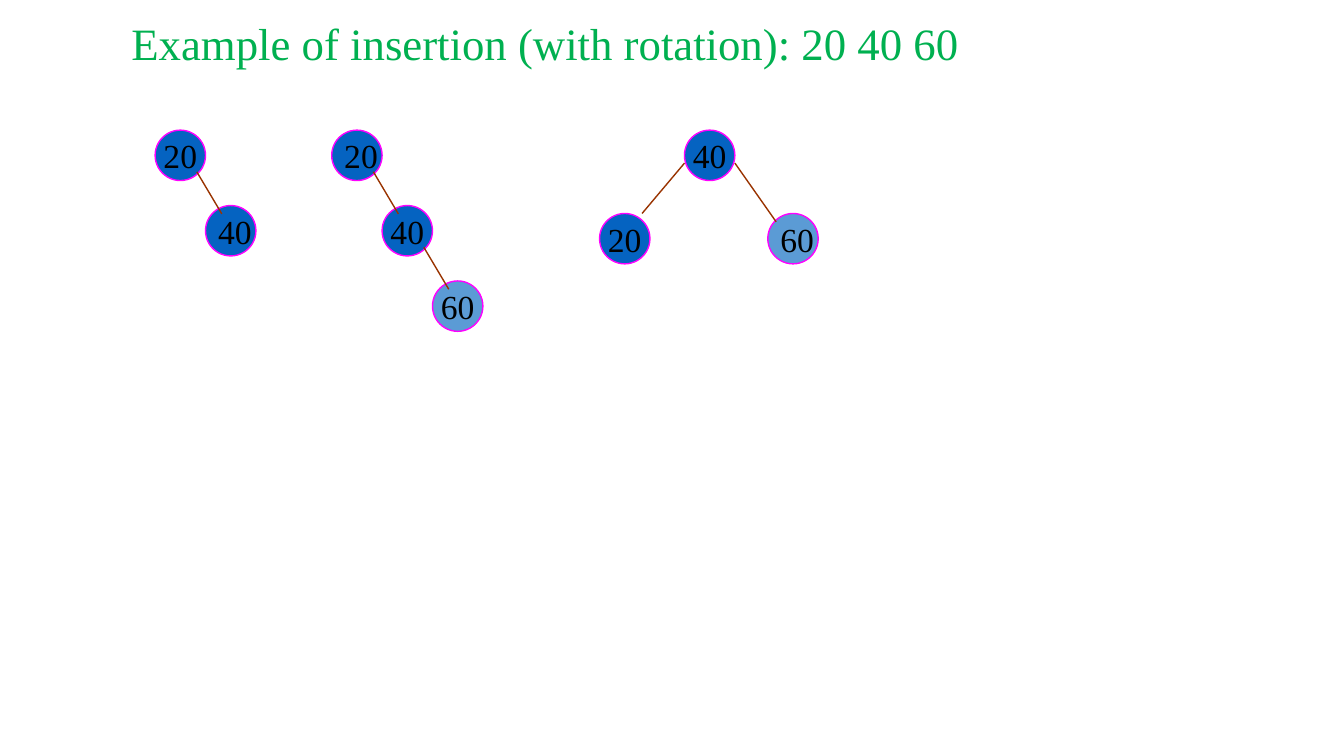
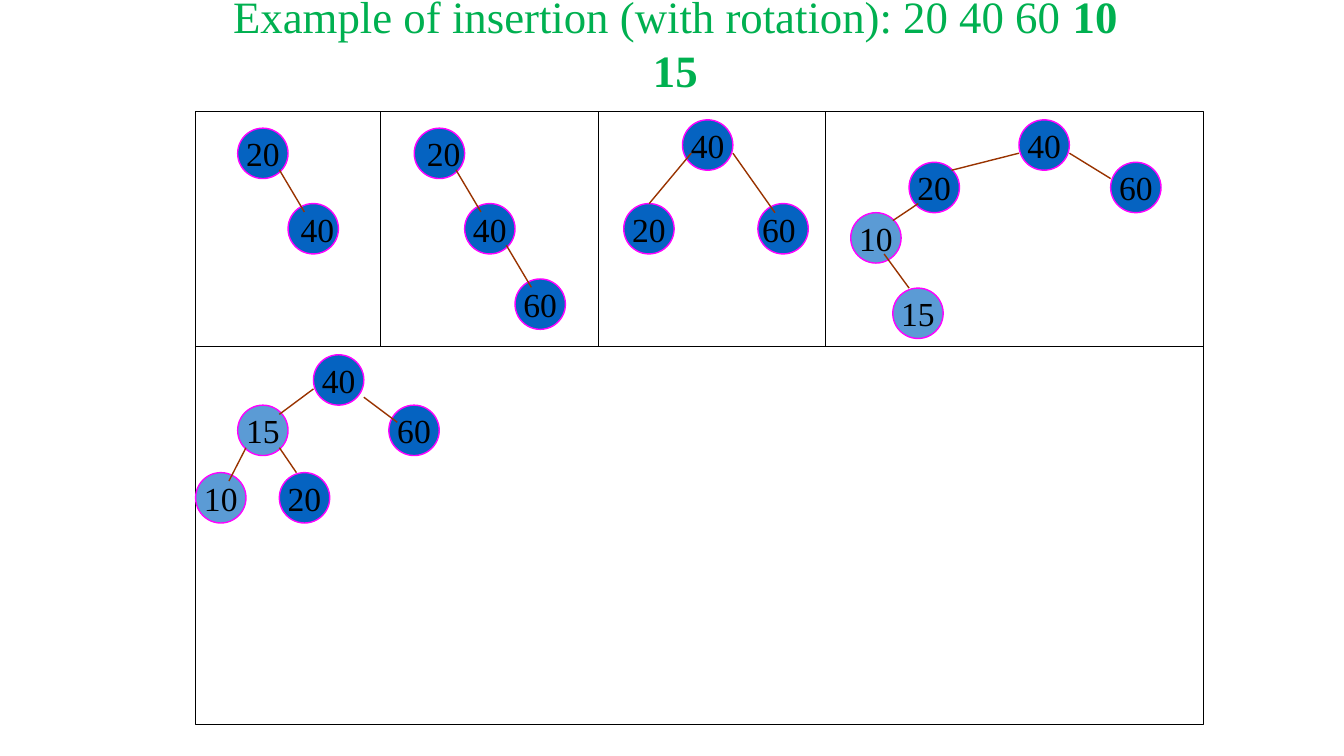
from pptx import Presentation
from pptx.dml.color import RGBColor
from pptx.enum.shapes import MSO_CONNECTOR as Connector, MSO_SHAPE as Shape
from pptx.enum.text import MSO_ANCHOR as Anchor, PP_ALIGN as Align
from pptx.oxml.ns import qn
from pptx.util import Cm, Pt
from lxml.etree import SubElement

FONT = "Times New Roman"
GREEN, BLACK, WHITE = "00B050", "000000", "FFFFFF"
BLUE, LIGHT_BLUE = "0563C1", "5B9BD5"
MAGENTA, BROWN = "FF00FF", "993300"

TITLE = "Example of insertion (with rotation): 20 40 60"
TITLE_TOP, TITLE_HEIGHT = 0.28, 1.6
NODE_SIZE = 1.27
STEP_X, STEP_Y = 1.27, 1.9
NUDGE = 0.21


def color(value):
    return RGBColor.from_string(value)


def add_text(para, text, size=24, fill=BLACK, bold=False):
    span = para.add_run()
    span.text = text
    span.font.name = FONT
    span.font.size = Pt(size)
    span.font.bold = bold
    span.font.color.rgb = color(fill)


def add_title(page, left, width, text, bold_text="", align=Align.LEFT):
    box = page.shapes.add_textbox(Cm(left), Cm(TITLE_TOP), Cm(width), Cm(TITLE_HEIGHT))
    frame = box.text_frame
    frame.word_wrap = True
    frame.vertical_anchor = Anchor.MIDDLE
    para = frame.paragraphs[0]
    para.alignment = align
    add_text(para, text, size=32, fill=GREEN)
    if bold_text:
        add_text(para, bold_text, size=32, fill=GREEN, bold=True)


def add_shape(page, kind, left, top, width, height, fill, line, weight):
    shape = page.shapes.add_shape(kind, Cm(left), Cm(top), Cm(width), Cm(height))
    shape.shadow.inherit = False
    shape.fill.solid()
    shape.fill.fore_color.rgb = color(fill)
    shape.line.color.rgb = color(line)
    shape.line.width = Pt(weight)
    return shape


def add_node(page, key, left, top, fill=BLUE, nudge=0):
    node = add_shape(page, Shape.FLOWCHART_CONNECTOR, left, top,
                     NODE_SIZE, NODE_SIZE, fill, MAGENTA, 1)
    frame = node.text_frame
    frame.word_wrap = False
    frame.vertical_anchor = Anchor.MIDDLE
    frame.margin_top = frame.margin_bottom = 0
    frame.margin_left = Cm(max(nudge, 0))
    frame.margin_right = Cm(max(-nudge, 0))
    para = frame.paragraphs[0]
    para.alignment = Align.CENTER
    add_text(para, str(key))


def add_line(page, start, end, line=BROWN, weight=1):
    connector = page.shapes.add_connector(
        Connector.STRAIGHT, *(Cm(value) for value in (*start, *end)))
    connector.line.color.rgb = color(line)
    connector.line.width = Pt(weight)
    SubElement(connector._element.spPr, qn("a:effectLst"))


def add_tree(page, nodes, edges):
    for node in nodes:
        add_node(page, *node)
    for start, end in edges:
        add_line(page, start, end)


def add_chain(page, left, top, *nodes):
    places = [(left + level * STEP_X, top + level * STEP_Y) for level in range(len(nodes))]
    add_tree(
        page,
        [(key, x, y, *style) for (key, *style), (x, y) in zip(nodes, places)],
        [((x + 1.05, y + 1.05), (x + 1.68, y + 2.11)) for x, y in places[:-1]])


def add_first_chains(page, left, top, last_fill):
    add_chain(page, left, top, (20,), (40, BLUE, NUDGE))
    add_chain(page, left + 4.45, top, (20, BLUE, NUDGE), (40,), (60, last_fill))


def add_grid(page, left, top, width, height, row, columns):
    add_shape(page, Shape.RECTANGLE, left, top, width, height, WHITE, BLACK, 0.75)
    add_line(page, (left, row), (left + width, row), BLACK, 0.75)
    for column in columns:
        add_line(page, (column, top), (column, row), BLACK, 0.75)


def build_single_rotation(page):
    add_title(page, 3.06, 22, TITLE)
    add_first_chains(page, 3.91, 3.28, LIGHT_BLUE)
    add_tree(
        page,
        [(40, 17.25, 3.28), (20, 15.11, 5.38), (60, 19.35, 5.38, LIGHT_BLUE, NUDGE)],
        [((18.52, 4.11), (19.56, 5.59)), ((17.25, 4.11), (16.18, 5.38))])


def build_double_rotation(page):
    add_grid(page, 4.93, 2.82, 25.4, 15.44, 8.74, (9.58, 15.09, 20.8))
    add_first_chains(page, 5.99, 3.23, BLUE)
    add_tree(
        page,
        [(40, 17.2, 3.02), (20, 15.72, 5.13), (60, 19.1, 5.13, BLUE, -NUDGE)],
        [((18.47, 3.86), (19.53, 5.36)), ((17.42, 3.86), (16.36, 5.13))])
    add_tree(
        page,
        [(40, 25.68, 3.02), (20, 22.91, 4.09), (60, 27.99, 4.09),
         (10, 21.44, 5.36, LIGHT_BLUE), (15, 22.5, 7.26, LIGHT_BLUE)],
        [((25.68, 3.86), (23.98, 4.29)), ((26.95, 3.86), (27.99, 4.5)),
         ((23.14, 5.13), (22.5, 5.56)), ((22.28, 6.4), (22.91, 7.26))])
    add_tree(
        page,
        [(40, 7.9, 8.94), (15, 5.99, 10.21, LIGHT_BLUE), (60, 9.8, 10.21),
         (10, 4.93, 11.91, LIGHT_BLUE), (20, 7.04, 11.91)],
        [((7.9, 9.8), (7.04, 10.44)), ((9.17, 10.01), (10.01, 10.64)),
         ((6.2, 11.28), (5.77, 12.12)), ((7.04, 11.28), (7.47, 11.91))])
    add_title(page, 5.32, 23.4, TITLE + " ", "10 15", Align.CENTER)


def main():
    deck = Presentation()
    deck.slide_width, deck.slide_height = Cm(33.87), Cm(19.05)
    for build in (build_single_rotation, build_double_rotation):
        build(deck.slides.add_slide(deck.slide_layouts[6]))
    deck.save("out.pptx")


if __name__ == "__main__":
    main()
